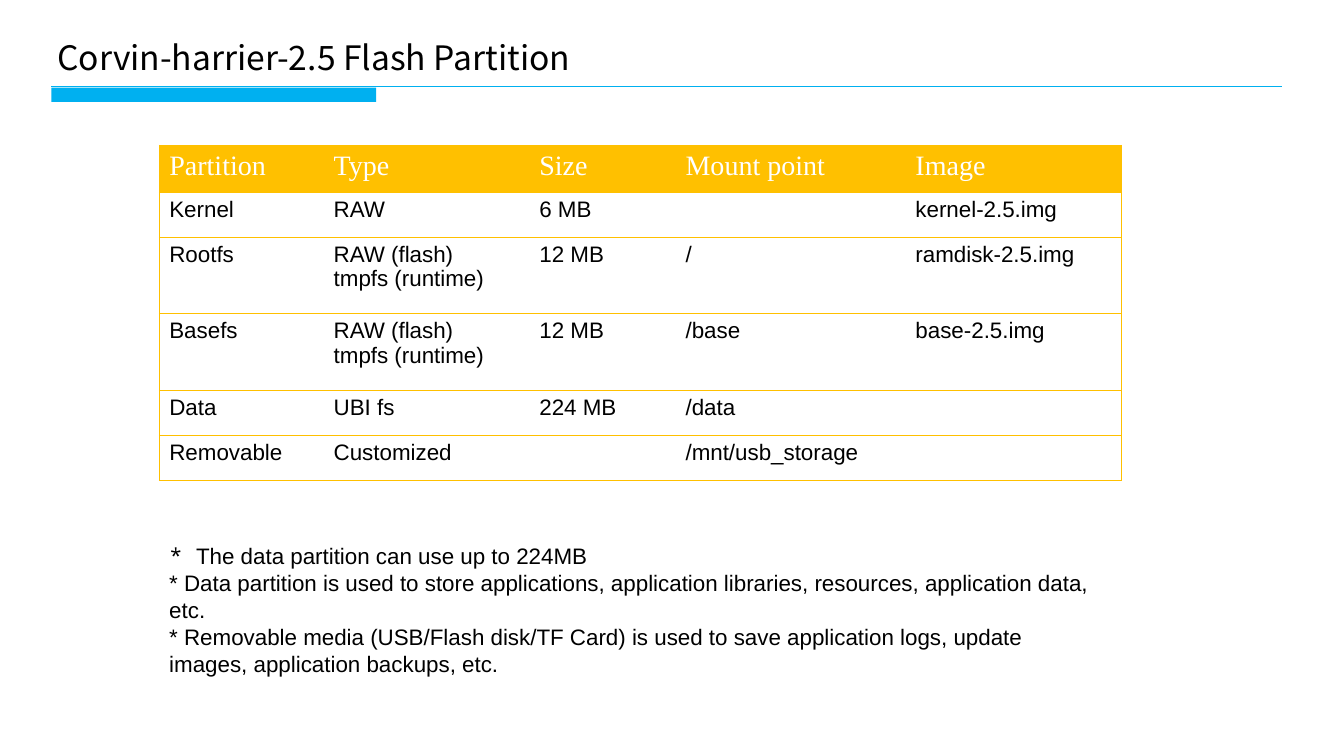
from lxml.etree import SubElement
from pptx import Presentation
from pptx.dml.color import RGBColor
from pptx.enum.shapes import MSO_CONNECTOR as Connector, MSO_SHAPE as Shape
from pptx.oxml.ns import qn
from pptx.util import Inches, Pt

TITLE = {"name": "Noto Sans CJK SC", "size": Pt(24)}
HEADER = {"name": "Times New Roman", "size": Pt(20)}
BODY = {"name": "Arial", "size": Pt(16)}
STAR = {"name": "Noto Sans Mono", "size": Pt(16)}
BLACK, WHITE, BLUE, GOLD = "000000", "FFFFFF", "00B0F0", "FFC000"

COLUMN_WIDTHS = [1.63, 2.04, 1.45, 2.28, 2.14]
ROW_HEIGHTS = [0.47, 0.44, 0.76, 0.76, 0.45, 0.45]
PARTITIONS = [
    ["Partition", "Type", "Size", "Mount point", "Image"],
    ["Kernel", "RAW", "6 MB", "", "kernel-2.5.img"],
    ["Rootfs", "RAW (flash)\ntmpfs (runtime)", "12 MB", "/", "ramdisk-2.5.img"],
    ["Basefs", "RAW (flash)\ntmpfs (runtime)", "12 MB", "/base", "base-2.5.img"],
    ["Data", "UBI fs", "224 MB", "/data", ""],
    ["Removable", "Customized", "", "/mnt/usb_storage", ""],
]
NOTES = [
    [("* ", STAR), ("The data partition can use up to 224MB", BODY)],
    [("* Data partition is used to store applications, application libraries, "
      "resources, application data, etc.", BODY)],
    [("* Removable media (USB/Flash disk/TF Card) is used to save application logs, "
      "update images, application backups, etc.", BODY)],
]


def rgb(value):
    return RGBColor.from_string(value)


def style_font(font, style, color):
    for name, value in style.items():
        setattr(font, name, value)
    font.color.rgb = rgb(color)


def set_borders(cell, sides):
    """Draw gold lines on the named sides and none on the others."""
    properties = cell._tc.get_or_add_tcPr()
    for position, side in enumerate("LRTB"):
        line = properties.makeelement(qn(f"a:ln{side}"), {"w": str(Pt(0.5))})
        properties.insert(position, line)
        if side in sides:
            fill = SubElement(line, qn("a:solidFill"))
            SubElement(fill, qn("a:srgbClr"), val=GOLD)
        else:
            SubElement(line, qn("a:noFill"))


class SlideBuilder:
    def __init__(self, slide):
        self.slide = slide

    def text(self, left, top, width, height, paragraphs):
        box = self.slide.shapes.add_textbox(
            Inches(left), Inches(top), Inches(width), Inches(height))
        frame = box.text_frame
        frame.word_wrap = True
        for index, runs in enumerate(paragraphs):
            paragraph = frame.add_paragraph() if index else frame.paragraphs[0]
            for words, style in runs:
                run = paragraph.add_run()
                run.text = words
                style_font(run.font, style, BLACK)

    def rule(self, left, top, right):
        line = self.slide.shapes.add_connector(
            Connector.STRAIGHT, Inches(left), Inches(top), Inches(right), Inches(top))
        line.line.color.rgb = rgb(BLUE)
        line.line.width = Pt(1)
        SubElement(line._element.spPr, qn("a:effectLst"))

    def bar(self, left, top, width, height):
        shape = self.slide.shapes.add_shape(
            Shape.RECTANGLE, Inches(left), Inches(top), Inches(width), Inches(height))
        shape.shadow.inherit = False
        shape.fill.solid()
        shape.fill.fore_color.rgb = rgb(BLUE)
        shape.line.fill.background()

    def table(self, left, top, widths, heights, rows):
        table = self.slide.shapes.add_table(
            len(rows), len(widths), Inches(left), Inches(top),
            Inches(sum(widths)), Inches(sum(heights))).table
        for column, width in zip(table.columns, widths):
            column.width = Inches(width)
        for row, height in zip(table.rows, heights):
            row.height = Inches(height)
        for row_index, row in enumerate(rows):
            is_header = row_index == 0
            style, color = (HEADER, WHITE) if is_header else (BODY, BLACK)
            for column_index, words in enumerate(row):
                cell = table.cell(row_index, column_index)
                cell.text = words
                for paragraph in cell.text_frame.paragraphs:
                    for run in paragraph.runs:
                        style_font(run.font, style, color)
                if is_header:
                    cell.fill.solid()
                    cell.fill.fore_color.rgb = rgb(GOLD)
                else:
                    cell.fill.background()
                sides = "TB"
                if column_index == 0:
                    sides += "L"
                if column_index == len(row) - 1:
                    sides += "R"
                set_borders(cell, sides)


def main():
    presentation = Presentation()
    presentation.slide_width = Inches(13.33)
    presentation.slide_height = Inches(7.5)
    builder = SlideBuilder(presentation.slides.add_slide(presentation.slide_layouts[6]))
    builder.text(0.47, 0.32, 6.86, 0.5, [[("Corvin-harrier-2.5 Flash Partition", TITLE)]])
    builder.rule(0.51, 0.86, 12.72)
    builder.bar(0.51, 0.87, 3.22, 0.14)
    builder.table(1.58, 1.44, COLUMN_WIDTHS, ROW_HEIGHTS, PARTITIONS)
    builder.text(1.58, 5.33, 9.35, 1.45, NOTES)
    presentation.save("out.pptx")


if __name__ == "__main__":
    main()
